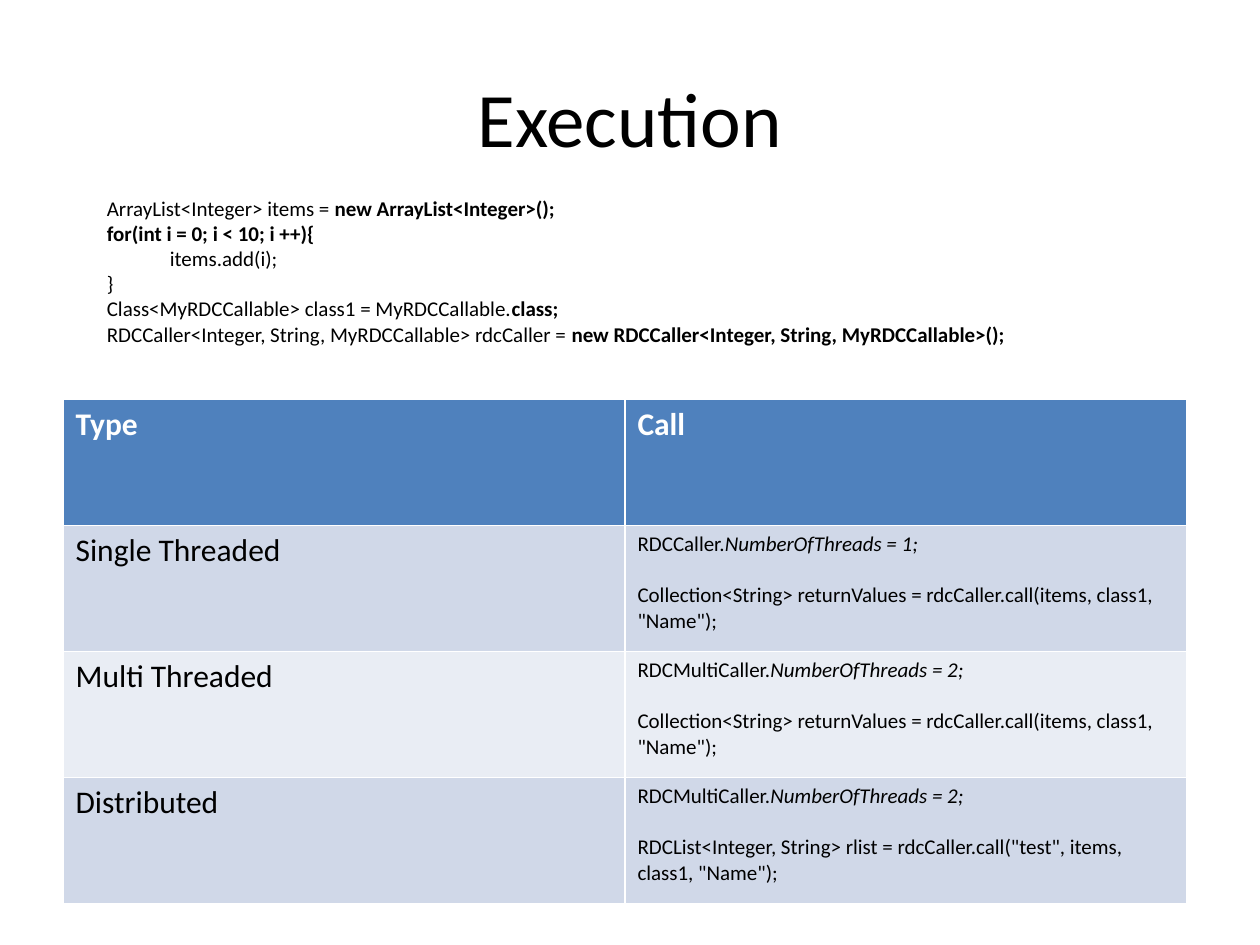
"""Builds the Execution slide with its code sample and call table."""
import dataclasses

import pptx
import pptx.dml.color
import pptx.enum.text
import pptx.util

Inches = pptx.util.Inches
Pt = pptx.util.Pt


@dataclasses.dataclass(frozen=True)
class Theme:
    font: str = "Calibri"
    text: str = "000000"
    light: str = "FFFFFF"
    header: str = "4F81BD"
    bands: tuple = ("D0D8E8", "E9EDF4")
    title_size: int = 44
    label_size: int = 18
    code_size: int = 12
    code_gap: float = 14.6


class Deck:
    def __init__(self, prs, theme):
        self.prs = prs
        self.theme = theme
        self.slide = prs.slides.add_slide(prs.slide_layouts[5])

    def color(self, value):
        return pptx.dml.color.RGBColor.from_string(value)

    def add_runs(self, p, parts, size, color=None):
        for text, style in parts:
            r = p.add_run()
            r.text = text
            r.font.name = self.theme.font
            r.font.size = Pt(size)
            r.font.bold = style == "bold"
            r.font.italic = style == "italic"
            r.font.color.rgb = self.color(color or self.theme.text)

    def add_lines(self, tf, lines, size, color=None, gap=0):
        for i, parts in enumerate(lines):
            p = tf.add_paragraph() if i else tf.paragraphs[0]
            if i:
                p.space_before = Pt(gap)
            self.add_runs(p, parts, size, color)

    def title(self, text, left, top, width, height):
        sp = self.slide.shapes.title
        sp.left, sp.top = Inches(left), Inches(top)
        sp.width, sp.height = Inches(width), Inches(height)
        tf = sp.text_frame
        tf.vertical_anchor = pptx.enum.text.MSO_ANCHOR.MIDDLE
        tf.paragraphs[0].alignment = pptx.enum.text.PP_ALIGN.CENTER
        self.add_runs(tf.paragraphs[0], [(text, "")], self.theme.title_size)

    def code(self, lines, left, top, width, height):
        sp = self.slide.shapes.add_textbox(
            Inches(left), Inches(top), Inches(width), Inches(height))
        tf = sp.text_frame
        tf.word_wrap = True
        self.add_lines(tf, lines, self.theme.code_size)

    def cell(self, cell, lines, size, fill, color=None, gap=0):
        cell.fill.solid()
        cell.fill.fore_color.rgb = self.color(fill)
        self.add_lines(cell.text_frame, lines, size, color, gap)

    def table(self, headers, calls, left, top, width, height):
        th = self.theme
        table = self.slide.shapes.add_table(
            len(calls) + 1, len(headers),
            Inches(left), Inches(top), Inches(width), Inches(height)).table
        for col, text in enumerate(headers):
            self.cell(table.cell(0, col), [[(text, "bold")]],
                      th.label_size, th.header, th.light)
        for row, (label, caller, threads, call) in enumerate(calls, 1):
            fill = th.bands[(row - 1) % 2]
            lines = [
                [(f"{caller}.", ""), (f"NumberOfThreads = {threads};", "italic")],
                [(call, "")],
            ]
            self.cell(table.cell(row, 0), [[(label, "")]], th.label_size, fill)
            self.cell(table.cell(row, 1), lines, th.code_size, fill, gap=th.code_gap)


SETUP = [
    [("ArrayList<Integer> items = ", ""), ("new ArrayList<Integer>();", "bold")],
    [("for(int i = 0; i < 10; i ++){", "bold")],
    [("\titems.add(i);", "")],
    [("}", "")],
    [("Class<MyRDCCallable> class1 = MyRDCCallable.", ""), ("class;", "bold")],
    [("RDCCaller<Integer, String, MyRDCCallable> rdcCaller = ", ""),
     ("new RDCCaller<Integer, String, MyRDCCallable>();", "bold")],
]
LOCAL_CALL = 'Collection<String> returnValues = rdcCaller.call(items, class1, "Name");'
REMOTE_CALL = 'RDCList<Integer, String> rlist = rdcCaller.call("test", items, class1, "Name");'
CALLS = [
    ("Single Threaded", "RDCCaller", 1, LOCAL_CALL),
    ("Multi Threaded", "RDCMultiCaller", 2, LOCAL_CALL),
    ("Distributed", "RDCMultiCaller", 2, REMOTE_CALL),
]

prs = pptx.Presentation()
prs.slide_width, prs.slide_height = Inches(10), Inches(7.5)
deck = Deck(prs, Theme())
deck.title("Execution", 0.5, 0.3, 9, 1.25)
deck.table(["Type", "Call"], CALLS, 0.5, 3.17, 8.92, 4)
deck.code(SETUP, 0.75, 1.5, 8.33, 1.31)
prs.save("out.pptx")
